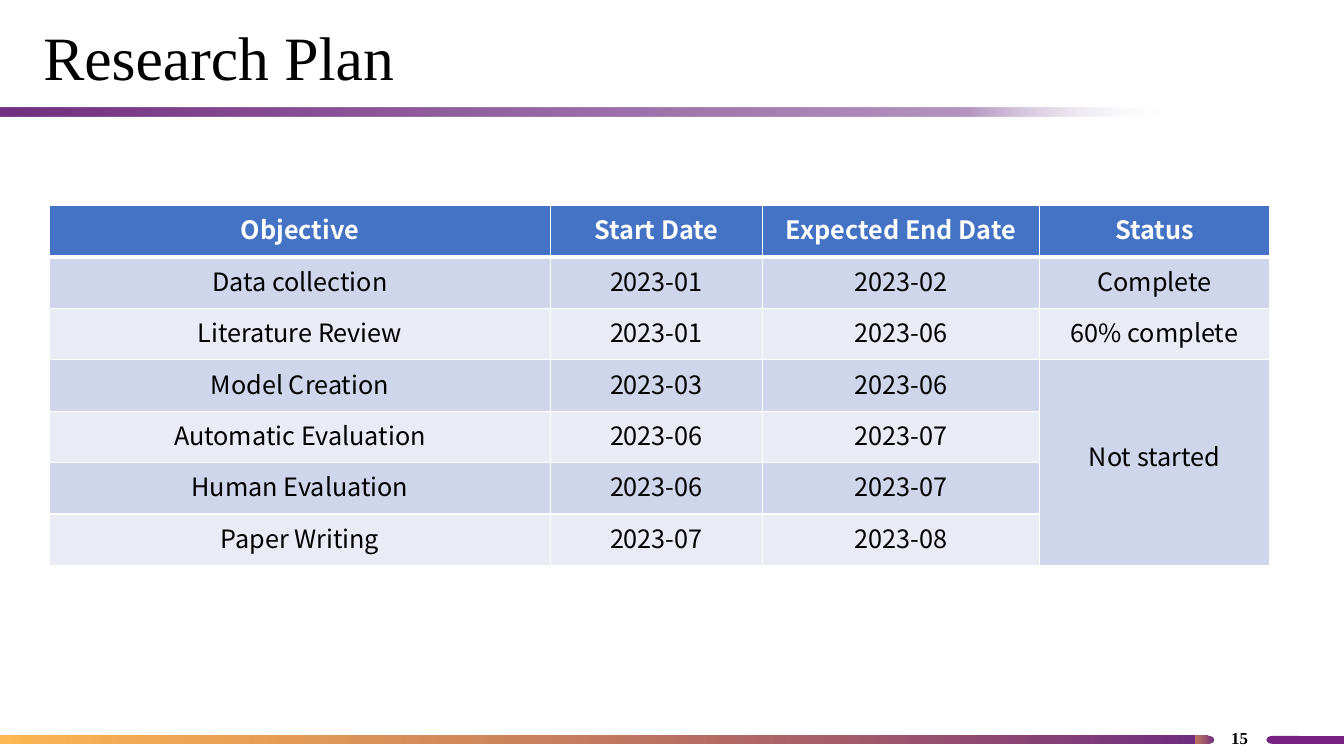
from dataclasses import dataclass

from lxml.etree import SubElement
from pptx import Presentation
from pptx.dml.color import RGBColor as Rgb
from pptx.enum.shapes import MSO_SHAPE as Shape
from pptx.enum.text import MSO_ANCHOR as Anchor, MSO_AUTO_SIZE as Fit, PP_ALIGN as Align
from pptx.oxml.ns import qn
from pptx.util import Inches, Pt

HUES = {
    "white": "FFFFFF", "black": "000000", "blue": "4472C4",
    "dark": "CFD5EA", "light": "E9EBF5", "orange": "FF9200",
    "plum": "712D80", "violet": "772283", "grape": "722F81",
    "lilac": "B494BF", "mist": "F6F8FC",
}
SERIF, SANS = "Times New Roman", "Noto Sans CJK SC"
WIDTHS = (4.97, 2.1, 2.75, 2.28)
ROWS = (
    ("Objective", "Start Date", "Expected End Date", "Status"),
    ("Data collection", "2023-01", "2023-02", "Complete"),
    ("Literature Review", "2023-01", "2023-06", "60% complete"),
    ("Model Creation", "2023-03", "2023-06", "Not started"),
    ("Automatic Evaluation", "2023-06", "2023-07", ""),
    ("Human Evaluation", "2023-06", "2023-07", ""),
    ("Paper Writing", "2023-07", "2023-08", ""),
)
HIGH = 0.51
MERGED = 3


@dataclass
class Stop:
    """A gradient stop: position and opacity in percent."""
    pos: int
    hue: str
    alpha: int = 100


@dataclass
class Bar:
    """A decorative band with one or more colour stops."""
    kind: Shape
    left: float
    top: float
    width: float
    height: float
    stops: tuple[Stop, ...]


WARM = (Stop(0, "orange", 67), Stop(100, "plum"))
FADE = (Stop(0, "grape"), Stop(83, "lilac"), Stop(100, "mist", 0))
PLAIN = (Stop(0, "violet"),)
CAP, BAND = Shape.FLOWCHART_TERMINATOR, Shape.FLOWCHART_PROCESS
BARS = (
    Bar(CAP, 11.66, 7.3, 0.38, 0.08, WARM),
    Bar(BAND, -0.02, 7.3, 11.87, 0.08, WARM),
    Bar(CAP, 12.56, 7.3, 0.38, 0.08, PLAIN),
    Bar(BAND, 12.75, 7.3, 0.62, 0.08, PLAIN),
    Bar(BAND, -0.02, 1.07, 11.57, 0.09, FADE),
)


def tint(hue: str) -> Rgb:
    """Return the named colour."""
    return Rgb.from_string(HUES[hue])


def style(para, face: str, size: int, hue: str, bold: bool, align: Align) -> None:
    """Set the font and alignment of a paragraph."""
    font = para.font
    font.name, font.size, font.bold = face, Pt(size), bold
    font.color.rgb = tint(hue)
    para.alignment = align


def place(item, left: float, top: float, width: float, height: float) -> None:
    """Move and size a shape, in inches."""
    item.left, item.top = Inches(left), Inches(top)
    item.width, item.height = Inches(width), Inches(height)


def draw_bar(slide, bar: Bar) -> None:
    """Draw a solid or gradient band."""
    area = map(Inches, (bar.left, bar.top, bar.width, bar.height))
    shape = slide.shapes.add_shape(bar.kind, *area)
    shape.shadow.inherit = False
    shape.line.fill.background()
    if len(bar.stops) == 1:
        shape.fill.solid()
        shape.fill.fore_color.rgb = tint(bar.stops[0].hue)
        return
    shape.fill.gradient()
    shape.fill.gradient_angle = 0
    stops = shape._element.spPr.find(".//" + qn("a:gsLst"))
    for old in list(stops):
        stops.remove(old)
    for stop in bar.stops:
        mark = SubElement(stops, qn("a:gs"), pos=str(stop.pos * 1000))
        color = SubElement(mark, qn("a:srgbClr"), val=HUES[stop.hue])
        if stop.alpha < 100:
            SubElement(color, qn("a:alpha"), val=str(stop.alpha * 1000))


def edge(cell, row: int) -> None:
    """Give a cell white borders, thicker under the header."""
    props = cell._tc.get_or_add_tcPr()
    thick = {(0, "B"), (1, "T")}
    for side in "LRTB":
        wide = Pt(3 if (row, side) in thick else 1)
        line = SubElement(props, qn(f"a:ln{side}"), w=str(wide))
        fill = SubElement(line, qn("a:solidFill"))
        SubElement(fill, qn("a:srgbClr"), val=HUES["white"])


def draw_plan(slide) -> None:
    """Draw the table of objectives."""
    area = map(Inches, (0.49, 2.04, sum(WIDTHS), HIGH * len(ROWS)))
    table = slide.shapes.add_table(len(ROWS), len(WIDTHS), *area).table
    for col, width in zip(table.columns, WIDTHS):
        col.width = Inches(width)
    for r, words in enumerate(ROWS):
        table.rows[r].height = Inches(HIGH)
        head = r == 0
        for c, word in enumerate(words):
            cell = table.cell(r, c)
            edge(cell, r)
            cell.fill.solid()
            cell.fill.fore_color.rgb = tint("blue" if head else "dark" if r % 2 else "light")
            cell.text = word
            style(cell.text_frame.paragraphs[0], SANS, 18,
                  "white" if head else "black", head, Align.CENTER)
    last = len(WIDTHS) - 1
    status = table.cell(MERGED, last)
    status.merge(table.cell(len(ROWS) - 1, last))
    status.margin_top = Inches(0.77)


def draw_title(slide) -> None:
    """Fill the title placeholder."""
    title = slide.shapes.title
    place(title, 0.33, 0.2, 10.03, 0.8)
    frame = title.text_frame
    frame.text = "Research Plan"
    frame.auto_size, frame.word_wrap = Fit.NONE, True
    frame.vertical_anchor = Anchor.MIDDLE
    para = frame.paragraphs[0]
    para.line_spacing = 0.9
    style(para, SERIF, 44, "black", False, Align.LEFT)


def draw_page(slide) -> None:
    """Write the page number."""
    frame = slide.shapes.add_textbox(*map(Inches, (12.03, 7.13, 0.53, 0.37))).text_frame
    frame.word_wrap = True
    frame.vertical_anchor = Anchor.MIDDLE
    frame.text = "15"
    style(frame.paragraphs[0], SERIF, 12, "black", True, Align.CENTER)


def main() -> None:
    """Build and save the slide."""
    deck = Presentation()
    deck.slide_width, deck.slide_height = Inches(13.33), Inches(7.5)
    slide = deck.slides.add_slide(deck.slide_layouts[5])
    for bar in BARS:
        draw_bar(slide, bar)
    draw_title(slide)
    draw_page(slide)
    draw_plan(slide)
    deck.save("out.pptx")


if __name__ == "__main__":
    main()
